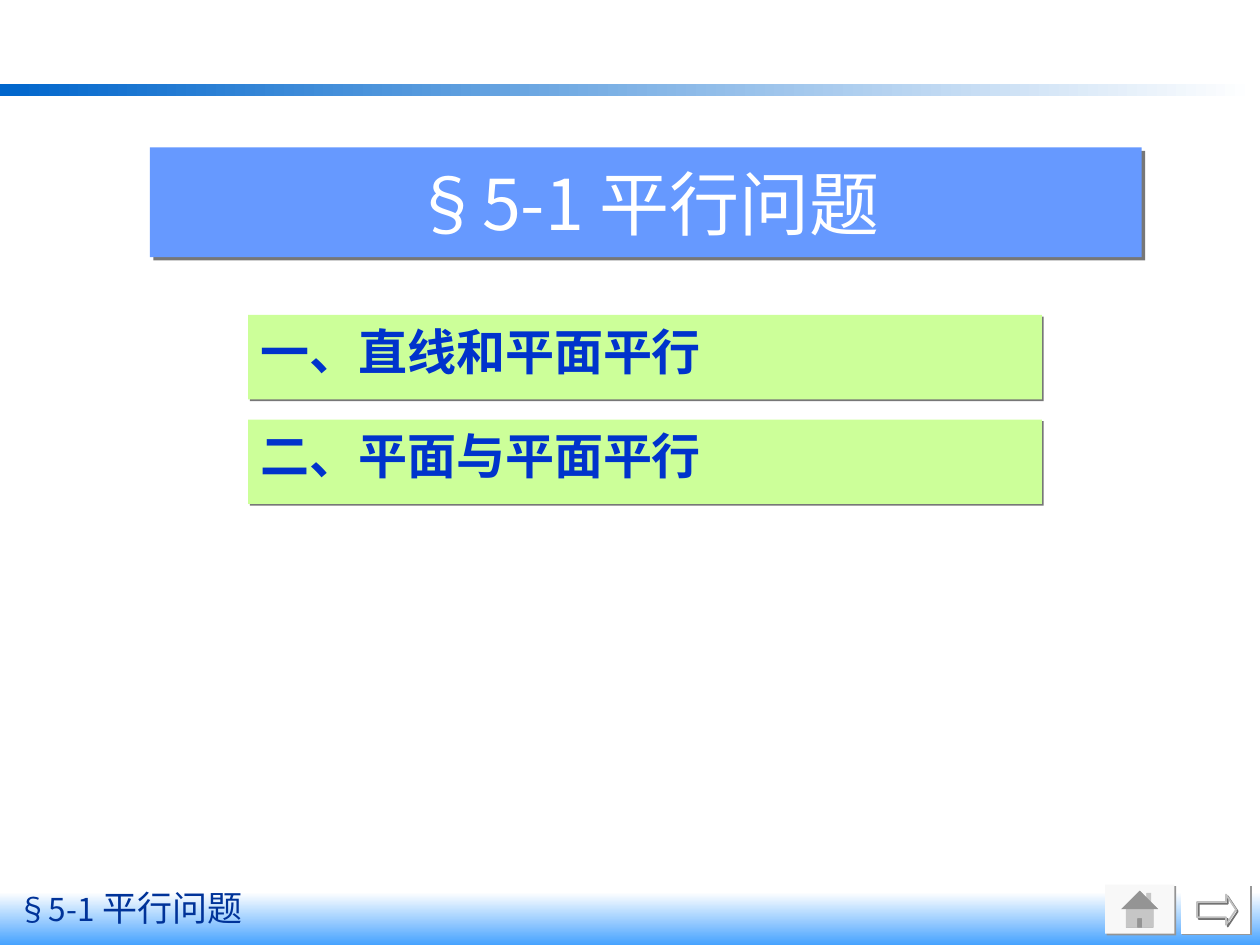
from lxml.etree import SubElement
from pptx import Presentation
from pptx.dml.color import RGBColor
from pptx.enum.shapes import MSO_SHAPE as Shape
from pptx.enum.text import MSO_ANCHOR as Anchor, MSO_AUTO_SIZE as AutoSize, PP_ALIGN as Align
from pptx.oxml.ns import qn
from pptx.util import Inches, Pt

CJK_SC = "Noto Sans CJK SC"
CJK_JP = "Noto Sans CJK JP"


def color(value):
    return RGBColor.from_string(value)


def place(shape, left, top, width, height):
    shape.left, shape.top = Inches(left), Inches(top)
    shape.width, shape.height = Inches(width), Inches(height)


def set_fill(shape, value):
    shape.fill.solid()
    shape.fill.fore_color.rgb = color(value)


def add_shadow(shape, value, distance):
    effects = shape._element.spPr.find(qn("a:effectLst"))
    if effects is None:
        effects = SubElement(shape._element.spPr, qn("a:effectLst"))
    shadow = SubElement(effects, qn("a:outerShdw"), dist=str(Pt(distance)),
                        dir="2700000", algn="ctr", rotWithShape="0")
    SubElement(shadow, qn("a:srgbClr"), val=value)


def add_plain_shape(page, kind, left, top, width, height):
    shape = page.shapes.add_shape(kind, Inches(left), Inches(top), Inches(width), Inches(height))
    shape.shadow.inherit = False
    shape.line.fill.background()
    return shape


def add_gradient_bar(page, left, top, width, height, end_color, angle):
    bar = add_plain_shape(page, Shape.RECTANGLE, left, top, width, height)
    bar.fill.gradient()
    bar.fill.gradient_angle = angle
    for stop, position, value in zip(bar.fill.gradient_stops, (0, 1), ("FFFFFF", end_color)):
        stop.position = position
        stop.color.rgb = color(value)


def add_span(para, text, size, value, font=CJK_SC, bold=False):
    span = para.add_run()
    span.text = text
    span.font.size = Pt(size)
    span.font.bold = bold
    span.font.color.rgb = color(value)
    span.font.name = font
    SubElement(span.font._element, qn("a:ea"), typeface=font)


def format_title(page):
    title = page.shapes.title
    place(title, 1.19, 1.17, 7.87, 0.87)
    set_fill(title, "6699FF")
    add_shadow(title, "777777", 2.8)
    frame = title.text_frame
    frame.auto_size = AutoSize.NONE
    frame.vertical_anchor = Anchor.MIDDLE
    para = frame.paragraphs[0]
    para.alignment = Align.CENTER
    add_span(para, "§5-1 平行问题", 40, "FFFFFF", CJK_JP)


def add_footer(page):
    box = page.shapes.add_textbox(Inches(0.04), Inches(6.99), Inches(4.67), Inches(0.44))
    box.text_frame.word_wrap = True
    para = box.text_frame.paragraphs[0]
    add_span(para, "§5-1", 18, "003399")
    add_span(para, " 平行问题", 20, "003399")


def add_topic(page, top, text):
    box = add_plain_shape(page, Shape.RECTANGLE, 1.97, top, 6.3, 0.67)
    set_fill(box, "CCFF99")
    add_shadow(box, "777777", 1.4)
    box.text_frame.vertical_anchor = Anchor.TOP
    para = box.text_frame.paragraphs[0]
    para.alignment = Align.LEFT
    add_span(para, text, 28, "0033CC", bold=True)


def add_button(page, kind, left, fill, shadow):
    button = add_plain_shape(page, kind, left, 7.02, 0.55, 0.39)
    set_fill(button, fill)
    add_shadow(button, shadow, 1.4)


def add_next_arrow(page):
    arrow = add_plain_shape(page, Shape.RIGHT_ARROW, 9.5, 7.1, 0.31, 0.24)
    arrow.adjustments[1] = 0.33
    arrow.fill.background()
    arrow.line.color.rgb = color("C0C0C0")
    arrow.line.width = Pt(1)
    add_shadow(arrow, "727272", 1.4)


def main():
    deck = Presentation()
    deck.slide_width, deck.slide_height = Inches(10), Inches(7.5)
    page = deck.slides.add_slide(deck.slide_layouts[5])
    add_gradient_bar(page, 0, 0.67, 9.96, 0.09, "0066CC", 180)
    add_gradient_bar(page, 0, 7.08, 10, 0.42, "47A3FF", 270)
    add_footer(page)
    format_title(page)
    for index, topic in enumerate(("一、直线和平面平行", "二、平面与平面平行")):
        add_topic(page, 2.5 + 0.83 * index, topic)
    add_button(page, Shape.ACTION_BUTTON_CUSTOM, 9.37, "FFFFFF", "989898")
    add_next_arrow(page)
    add_button(page, Shape.ACTION_BUTTON_HOME, 8.77, "F8F8F8", "949494")
    deck.save("out.pptx")


if __name__ == "__main__":
    main()
